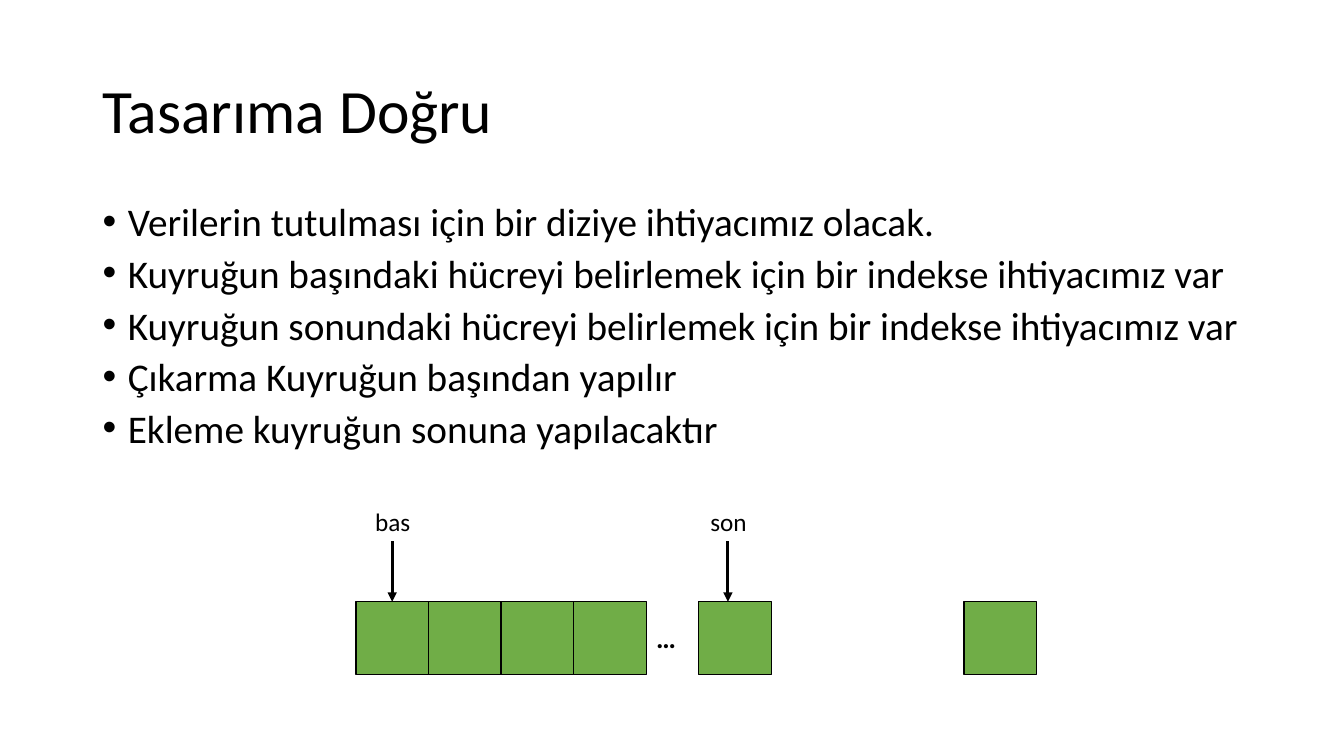
from lxml.etree import SubElement
from pptx import Presentation
from pptx.dml.color import RGBColor
from pptx.enum.shapes import MSO_CONNECTOR, MSO_SHAPE
from pptx.enum.text import MSO_ANCHOR as ANCHOR, PP_ALIGN as ALIGN
from pptx.oxml.ns import qn
from pptx.util import Pt

PX = 9144
BLACK = "000000"
GREEN = "70AD47"
CELL = 72
ARRAY_LEFT, ARRAY_TOP = 353, 597
LABEL_TOP, ARROW_TOP = 497, 537

STEPS = [
    "Verilerin tutulması için bir diziye ihtiyacımız olacak.",
    "Kuyruğun başındaki hücreyi belirlemek için bir indekse ihtiyacımız var",
    "Kuyruğun sonundaki hücreyi belirlemek için bir indekse ihtiyacımız var",
    "Çıkarma Kuyruğun başından yapılır",
    "Ekleme kuyruğun sonuna yapılacaktır",
]


def emu(*lengths):
    return [length * PX for length in lengths]


def color(hex_code):
    return RGBColor.from_string(hex_code)


def style(paragraph, size, bold=False):
    font = paragraph.font
    font.name = "Calibri"
    font.size = Pt(size)
    font.bold = bold
    font.color.rgb = color(BLACK)


def add_text(slide, box, text, size, bold=False, wrap=False):
    frame = slide.shapes.add_textbox(*emu(*box)).text_frame
    frame.word_wrap = wrap
    frame.text = text
    style(frame.paragraphs[0], size, bold)
    return frame


def add_title(slide, text):
    frame = add_text(slide, (92, 40, 1150, 145), text, 44, wrap=True)
    frame.vertical_anchor = ANCHOR.MIDDLE
    frame.paragraphs[0].line_spacing = 0.9


def add_bullets(slide, items):
    frame = add_text(slide, (92, 200, 1150, 255), "\n".join(items), 28, wrap=True)
    for index, paragraph in enumerate(frame.paragraphs):
        paragraph.line_spacing = 0.8
        paragraph.space_before = Pt(10 if index else 0)
        props = paragraph._p.get_or_add_pPr()
        props.set("marL", str(25 * PX))
        props.set("indent", str(-25 * PX))
        for stale in props.findall(qn("a:defRPr")):
            props.remove(stale)
        SubElement(props, qn("a:buFont"), typeface="Arial")
        SubElement(props, qn("a:buChar"), char="•")
        style(paragraph, 28)


def add_cell(slide, left):
    cell = slide.shapes.add_shape(
        MSO_SHAPE.RECTANGLE, *emu(left, ARRAY_TOP, CELL, CELL))
    cell.shadow.inherit = False
    cell.fill.solid()
    cell.fill.fore_color.rgb = color(GREEN)
    cell.line.color.rgb = color(BLACK)
    cell.line.width = Pt(1)


def add_pointer(slide, label, center, width):
    frame = add_text(
        slide, (center - width // 2, LABEL_TOP, width, 40), label, 18)
    frame.paragraphs[0].alignment = ALIGN.CENTER
    arrow = slide.shapes.add_connector(
        MSO_CONNECTOR.STRAIGHT, *emu(center, ARROW_TOP, center, ARRAY_TOP))
    arrow.line.color.rgb = color(BLACK)
    arrow.line.width = Pt(2.25)
    SubElement(arrow.line._get_or_add_ln(), qn("a:tailEnd"), type="triangle")
    SubElement(arrow._element.spPr, qn("a:effectLst"))


def main():
    deck = Presentation()
    deck.slide_width, deck.slide_height = emu(1333, 750)
    slide = deck.slides.add_slide(deck.slide_layouts[6])

    add_title(slide, "Tasarıma Doğru")
    add_bullets(slide, STEPS)

    front_cells = [ARRAY_LEFT + i * CELL for i in range(4)]
    tail_cell, last_cell = 693, 956
    for left in front_cells + [tail_cell, last_cell]:
        add_cell(slide, left)
    add_text(slide, (641, 611, 40, 44), "…", 20, bold=True)

    add_pointer(slide, "bas", ARRAY_LEFT + CELL // 2, 55)
    add_pointer(slide, "son", tail_cell + 29, 57)

    deck.save("out.pptx")


if __name__ == "__main__":
    main()
